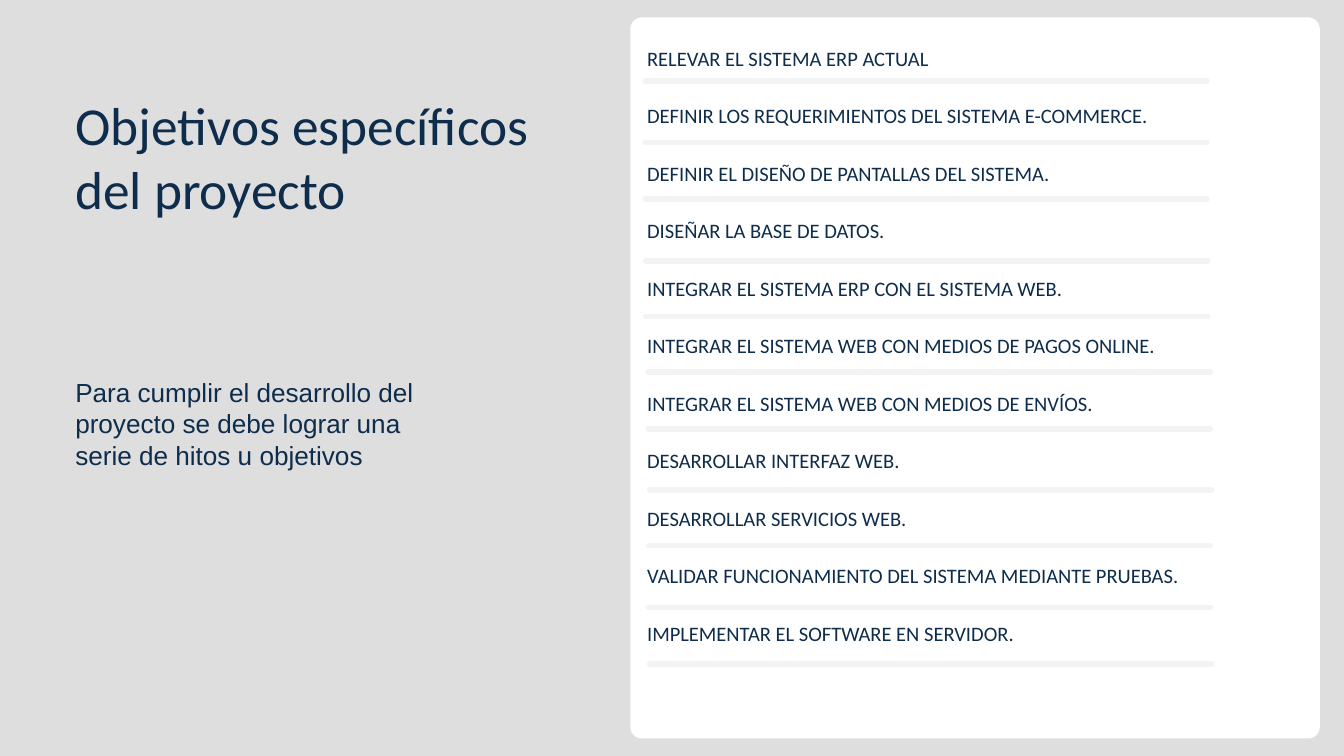
from lxml import etree
from pptx import Presentation
from pptx.dml.color import RGBColor
from pptx.enum.shapes import MSO_CONNECTOR as CONNECTOR, MSO_SHAPE as SHAPE
from pptx.oxml.ns import qn
from pptx.util import Inches, Pt

COLORS = {"background": "DEDEDE", "panel": "FFFFFF", "rule": "F2F3F4", "navy": "0E2C4B"}

OBJECTIVES = [
    "RELEVAR EL SISTEMA ERP ACTUAL",
    "DEFINIR LOS REQUERIMIENTOS DEL SISTEMA E-COMMERCE.",
    "DEFINIR EL DISEÑO DE PANTALLAS DEL SISTEMA.",
    "DISEÑAR LA BASE DE DATOS.",
    "INTEGRAR EL SISTEMA ERP CON EL SISTEMA WEB.",
    "INTEGRAR EL SISTEMA WEB CON MEDIOS DE PAGOS ONLINE.",
    "INTEGRAR EL SISTEMA WEB CON MEDIOS DE ENVÍOS.",
    "DESARROLLAR INTERFAZ WEB.",
    "DESARROLLAR SERVICIOS WEB.",
    "VALIDAR FUNCIONAMIENTO DEL SISTEMA MEDIANTE PRUEBAS.",
    "IMPLEMENTAR EL SOFTWARE EN SERVIDOR.",
]

# Left end and height of the rule under each objective
RULES = [
    (9.6, 1.21), (9.6, 2.12), (9.6, 2.96), (9.61, 3.88), (9.61, 4.71), (9.65, 5.54),
    (9.65, 6.38), (9.67, 7.29), (9.65, 8.12), (9.65, 9.04), (9.67, 9.88),
]
RULE_LENGTH = 8.36


def add_text(page, position, lines, line_spacing, gap, font_format):
    """Add a text box without margins, one paragraph per line, gap points apart."""
    box = page.shapes.add_textbox(*map(Inches, position))
    frame = box.text_frame
    frame.word_wrap = True
    for side in ("left", "top", "right", "bottom"):
        setattr(frame, f"margin_{side}", 0)
    for index, line in enumerate(lines):
        para = frame.add_paragraph() if index else frame.paragraphs[0]
        para.line_spacing = Pt(line_spacing)
        para.space_before = Pt(gap if index else 0)
        span = para.add_run()
        span.text = line
        for name, value in font_format.items():
            setattr(span.font, name, value)
        span.font.color.rgb = RGBColor.from_string(COLORS["navy"])


deck = Presentation()
deck.slide_width, deck.slide_height = Inches(20), Inches(11.25)
page = deck.slides.add_slide(deck.slide_layouts[6])
page.background.fill.solid()
page.background.fill.fore_color.rgb = RGBColor.from_string(COLORS["background"])

panel = page.shapes.add_shape(
    SHAPE.ROUNDED_RECTANGLE, Inches(9.38), Inches(0.26), Inches(10.26), Inches(10.73)
)
panel.adjustments[0] = 0.17 / 10.26
panel.shadow.inherit = False
panel.fill.solid()
panel.fill.fore_color.rgb = RGBColor.from_string(COLORS["panel"])
panel.line.fill.background()

for left, height in RULES:
    rule = page.shapes.add_connector(
        CONNECTOR.STRAIGHT, Inches(left), Inches(height), Inches(left + RULE_LENGTH), Inches(height)
    )
    rule.line.width = Pt(6)
    rule.line.color.rgb = RGBColor.from_string(COLORS["rule"])
    rule.line._get_or_add_ln().set("cap", "rnd")
    etree.SubElement(rule._element.spPr, qn("a:effectLst"))

add_text(page, (9.63, 0.62, 10.04, 9.13), OBJECTIVES, 30.8, 30.8,
         {"name": "Calibri", "size": Pt(22)})
add_text(page, (1.12, 1.37, 6.75, 2.85), ["Objetivos específicos del proyecto"], 68.7, 0,
         {"name": "Calibri", "size": Pt(57.2)})
add_text(page, (1.12, 5.6, 5.21, 1.91),
         ["Para cumplir el desarrollo del proyecto se debe lograr una serie de hitos u objetivos"],
         33.6, 0, {"name": "Arial", "size": Pt(28)})

deck.save("out.pptx")
